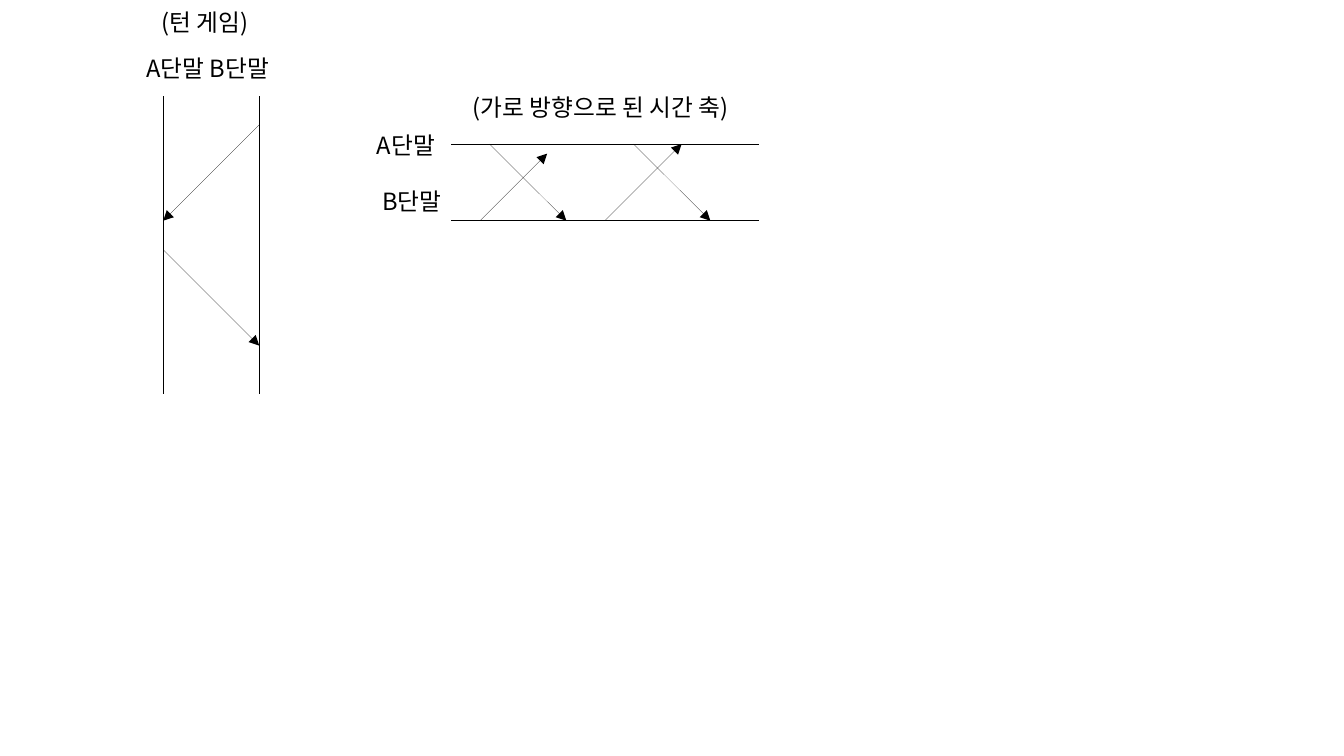
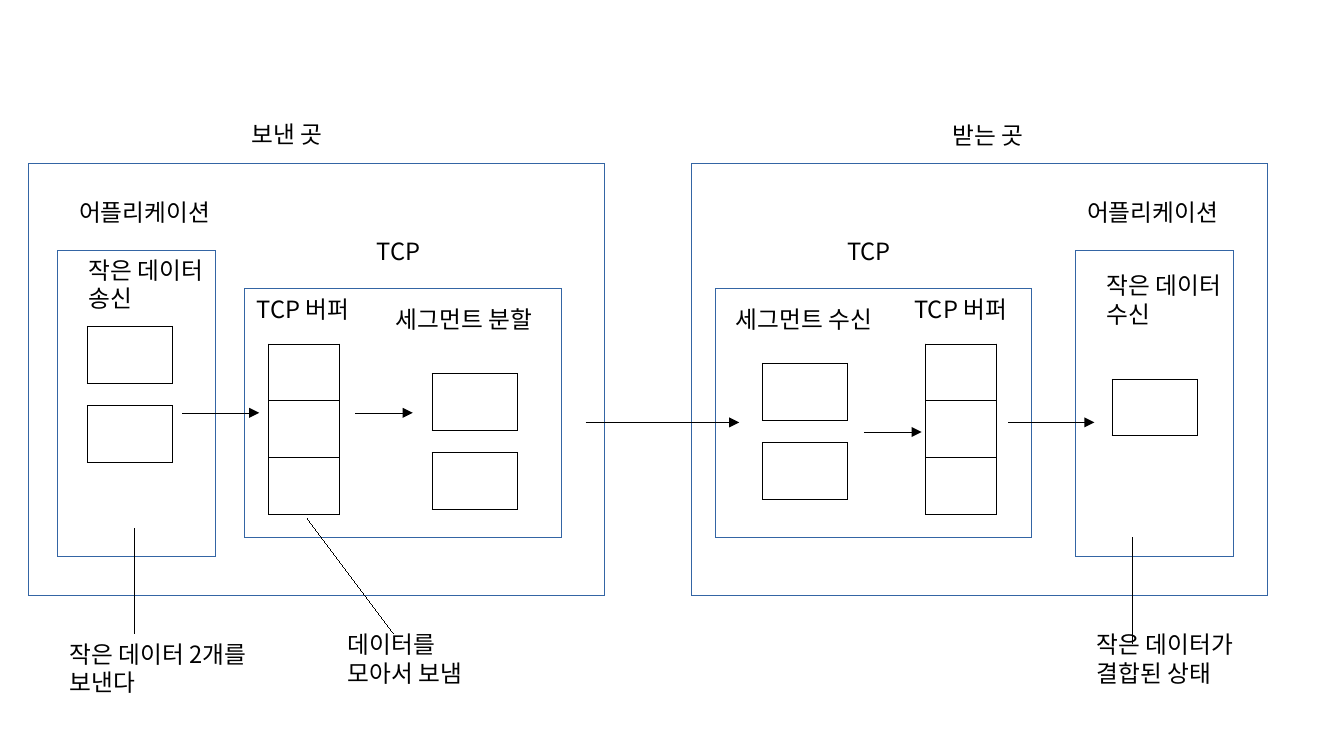
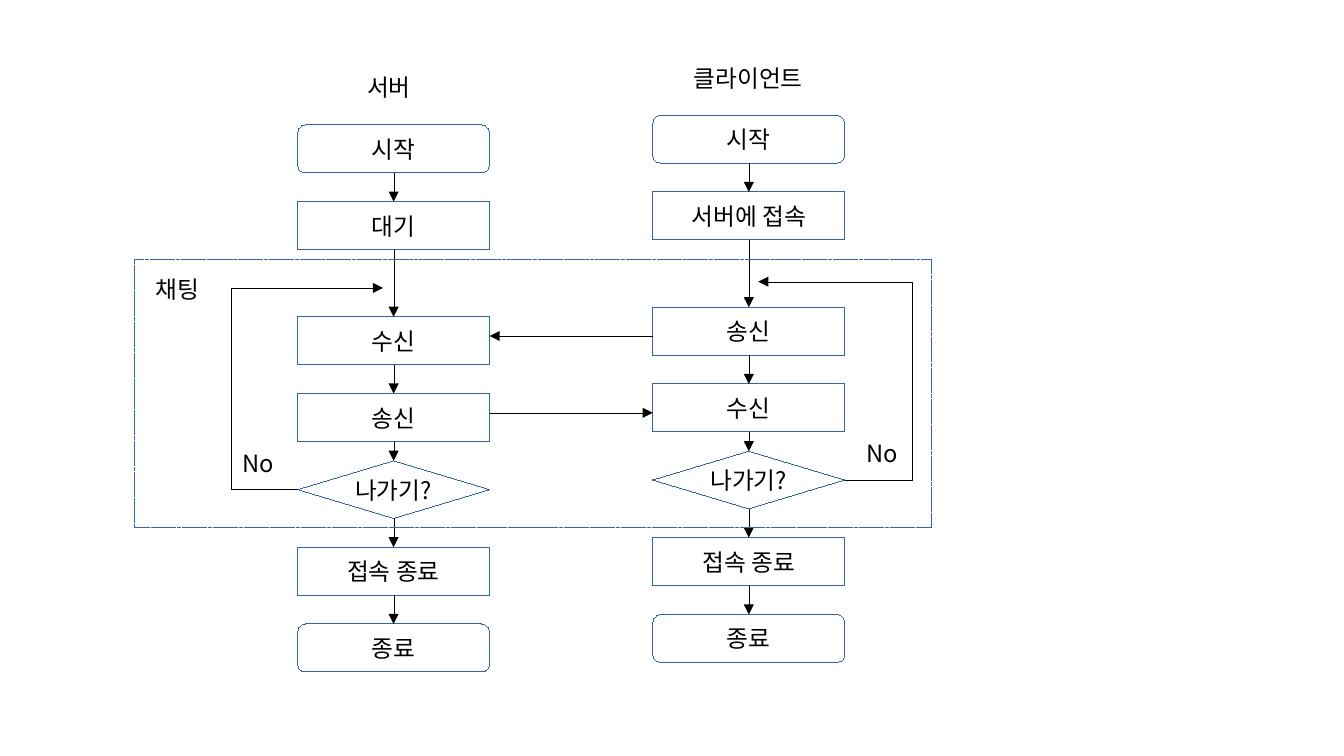
from lxml import etree
from pptx import Presentation
from pptx.dml.color import RGBColor
from pptx.enum.dml import MSO_LINE
from pptx.enum.shapes import MSO_CONNECTOR, MSO_SHAPE
from pptx.enum.text import MSO_ANCHOR, MSO_AUTO_SIZE, PP_ALIGN
from pptx.oxml.ns import qn
from pptx.util import Cm, Pt

RECT, ROUND, DIAMOND = MSO_SHAPE.RECTANGLE, MSO_SHAPE.ROUNDED_RECTANGLE, MSO_SHAPE.DIAMOND
STRAIGHT, ELBOW = MSO_CONNECTOR.STRAIGHT, MSO_CONNECTOR.ELBOW
TOP, BOTTOM = 0, 2
COLORS = {"ink": "000000", "outline": "3465A4"}
FONT = "Noto Sans CJK JP"
FONT_FORMAT = {"name": FONT, "size": Pt(14)}
BOX_FORMAT = {"word_wrap": False, "vertical_anchor": MSO_ANCHOR.MIDDLE}
LABEL_FORMAT = {"word_wrap": True, "auto_size": MSO_AUTO_SIZE.SHAPE_TO_FIT_TEXT}
HAIRLINE = "0"  # written to the XML, since line.width drops a zero


def add_text(s, kind, x, y, w, h, text=""):
    """Add a label, or an outlined box when a preset shape kind is given."""
    if kind is None:
        sp = s.shapes.add_textbox(Cm(x), Cm(y), Cm(w), Cm(h))
    else:
        sp = s.shapes.add_shape(kind, Cm(x), Cm(y), Cm(w), Cm(h))
        sp.shadow.inherit = False
        sp.fill.background()
        sp.line.color.rgb = RGBColor.from_string(COLORS["outline"])
        sp.get_or_add_ln().set("w", HAIRLINE)
    tf = sp.text_frame
    tf.text = text
    for name, value in (BOX_FORMAT if kind else LABEL_FORMAT).items():
        setattr(tf, name, value)
    for p in tf.paragraphs:
        p.alignment = PP_ALIGN.CENTER if kind else PP_ALIGN.LEFT
        for r in p.runs:
            for name, value in FONT_FORMAT.items():
                setattr(r.font, name, value)
            r.font.color.rgb = RGBColor.from_string(COLORS["ink"])
            etree.SubElement(r.font._element, qn("a:ea"), typeface=FONT)
    return sp


def add_line(s, x1, y1, x2, y2, arrow=True, kind=STRAIGHT):
    line = s.shapes.add_connector(kind, Cm(x1), Cm(y1), Cm(x2), Cm(y2))
    line.line.color.rgb = RGBColor.from_string(COLORS["ink"])
    ln = line.get_or_add_ln()
    ln.set("w", HAIRLINE)
    if arrow:
        etree.SubElement(ln, qn("a:tailEnd"), type="triangle")
    etree.SubElement(line._element.spPr, qn("a:effectLst"))
    return line


prs = Presentation()
prs.slide_width, prs.slide_height = Cm(28), Cm(15.75)
blank = prs.slide_layouts[6]

# Slide 1: turn game timelines
s = prs.slides.add_slide(blank)
for x, y, w, text in [
    (3, 0.04, 4.6, " (턴 게임)"),
    (2.8, 1, 4.6, "A단말 B단말"),
    (9.6, 1.8, 7.8, "(가로 방향으로 된 시간 축)"),
]:
    add_text(s, None, x, y, w, 0.97, text)
axis_labels = add_text(s, None, 7.6, 2.6, 4.6, 2.4, "A단말\n B단말")
axis_labels.text_frame.paragraphs[1].space_before = Pt(16.5)
for x in (3.4, 5.4):
    add_line(s, x, 2, x, 8.2, arrow=False)
for y in (3, 4.6):
    add_line(s, 9.4, y, 15.8, y, arrow=False)
for ends in [
    (5.4, 2.6, 3.4, 4.6),
    (3.4, 5.2, 5.4, 7.2),
    (10, 4.6, 11.4, 3.2),
    (10.2, 3, 11.8, 4.6),
    (12.6, 4.6, 14.2, 3),
    (13.2, 3, 14.8, 4.6),
]:
    add_line(s, *ends)

# Slide 2: TCP buffering between sender and receiver
s = prs.slides.add_slide(blank)
for host_x, app_x, tcp_x in [(0.6, 1.2, 5.1), (14.4, 22.4, 14.9)]:
    add_text(s, RECT, host_x, 3.4, 12, 9)
    add_text(s, RECT, app_x, 5.21, 3.3, 6.38)
    add_text(s, RECT, tcp_x, 6.01, 6.6, 5.19)

CELL_H = 1.18
PACKET, BUFFER, MERGING = [1], [1, 1, 1], [2, 1]  # row heights in cells
for x, y, w, rows in [
    (1.82, 6.8, 1.78, PACKET), (1.82, 8.45, 1.78, PACKET),
    (5.6, 7.17, 1.48, BUFFER),
    (9, 7.78, 1.78, PACKET), (9, 9.43, 1.78, PACKET),
    (15.88, 7.57, 1.78, PACKET), (15.88, 9.22, 1.78, PACKET),
    (19.28, 7.17, 1.48, BUFFER), (19.28, 7.17, 1.48, MERGING),
    (23.17, 7.9, 1.78, PACKET),
]:
    frame = s.shapes.add_table(len(rows), 1, Cm(x), Cm(y), Cm(w), Cm(sum(rows) * CELL_H))
    table = frame.table
    table.first_row = table.horz_banding = False
    for row, cells_high in zip(table.rows, rows):
        row.height = Cm(cells_high * CELL_H)
    for cell in table.iter_cells():
        for side in ("left", "right", "top", "bottom"):
            setattr(cell, f"margin_{side}", 0)
        props = cell._tc.get_or_add_tcPr()
        for tag in ("a:lnL", "a:lnR", "a:lnT", "a:lnB"):
            border = etree.SubElement(props, qn(tag), w=str(Pt(0.57)))
            fill = etree.SubElement(border, qn("a:solidFill"))
            etree.SubElement(fill, qn("a:srgbClr"), val=COLORS["ink"])
        cell.fill.background()

for x, y, w, text in [
    (5, 2.37, 2.2, "보낸 곳"),
    (19.6, 2.4, 2.2, "받는 곳"),
    (1.4, 4, 4.2, "어플리케이션"),
    (22.4, 4, 4.2, "어플리케이션"),
    (1.6, 5.2, 4.2, "작은 데이터\n송신"),
    (22.8, 5.52, 4.2, "작은 데이터\n수신"),
    (7.6, 4.8, 4.2, "TCP"),
    (17.4, 4.8, 4.2, "TCP"),
    (5.1, 6.02, 4.2, "TCP 버퍼"),
    (18.8, 6.02, 4.2, "TCP 버퍼"),
    (8, 6.22, 4.2, "세그먼트 분할"),
    (15.08, 6.22, 4.2, "세그먼트 수신"),
    (1.2, 13.2, 5.4, "작은 데이터 2개를 보낸다"),
    (7, 13, 4.4, "데이터를\n모아서 보냄"),
    (22.6, 13, 4.8, "작은 데이터가 결합된 상태"),
]:
    add_text(s, None, x, y, w, 1.7 if "\n" in text or len(text) > 10 else 0.97, text)
for x1, x2, y in [(3.8, 5.4, 8.6), (7.4, 8.6, 8.6), (12.2, 15.4, 8.8),
                  (18, 19.2, 9), (21, 22.8, 8.8)]:
    add_line(s, x1, y, x2, y)
for ends in [(2.8, 11, 2.8, 13.2), (6.4, 10.8, 8.2, 13.2), (23.6, 11.2, 23.6, 13.4)]:
    add_line(s, *ends, arrow=False)

# Slide 3: chat flowcharts of server and client
s = prs.slides.add_slide(blank)
STEP_W = 4
STEPS = [(ROUND, 0, 1), (RECT, 1.6, 1), (RECT, 4, 1), (RECT, 5.6, 1),
         (DIAMOND, 7, 1.2), (RECT, 8.8, 1), (ROUND, 10.4, 1)]
for x, y, texts in [
    (6.2, 2.6, ["시작", "대기", "수신", "송신", "나가기?", "접속 종료", "종료"]),
    (13.6, 2.4, ["시작", "서버에 접속", "송신", "수신", "나가기?", "접속 종료", "종료"]),
]:
    previous = None
    for (kind, dy, h), text in zip(STEPS, texts):
        step = add_text(s, kind, x, y + dy, STEP_W, h, text)
        if previous is not None:
            arrow = add_line(s, x + STEP_W / 2, y, x + STEP_W / 2, y + dy)
            arrow.begin_connect(previous, BOTTOM)
            arrow.end_connect(step, TOP)
        previous = step

add_line(s, 13.6, 7, 10.2, 7)
add_line(s, 10.2, 8.6, 13.6, 8.6)
for ends in [(6.2, 10.2, 7.98, 6), (17.6, 10, 15.8, 5.87)]:
    loop = add_line(s, *ends, kind=ELBOW)
    adjusts = loop._element.spPr.find(qn("a:prstGeom")).get_or_add_avLst()
    etree.SubElement(adjusts, qn("a:gd"), name="adj1", fmla="val -78000")

chat = add_text(s, RECT, 2.8, 5.4, 16.6, 5.6)
chat.line.dash_style = MSO_LINE.SQUARE_DOT
for x, y, w, text in [
    (7.4, 1.4, 3.4, "서버"),
    (14.2, 1.2, 3.4, "클라이언트"),
    (3, 5.6, 3.4, "채팅"),
    (4.8, 9.22, 2.8, "No"),
    (17.8, 9.02, 2.8, "No"),
]:
    add_text(s, None, x, y, w, 0.97, text)

prs.save("out.pptx")
